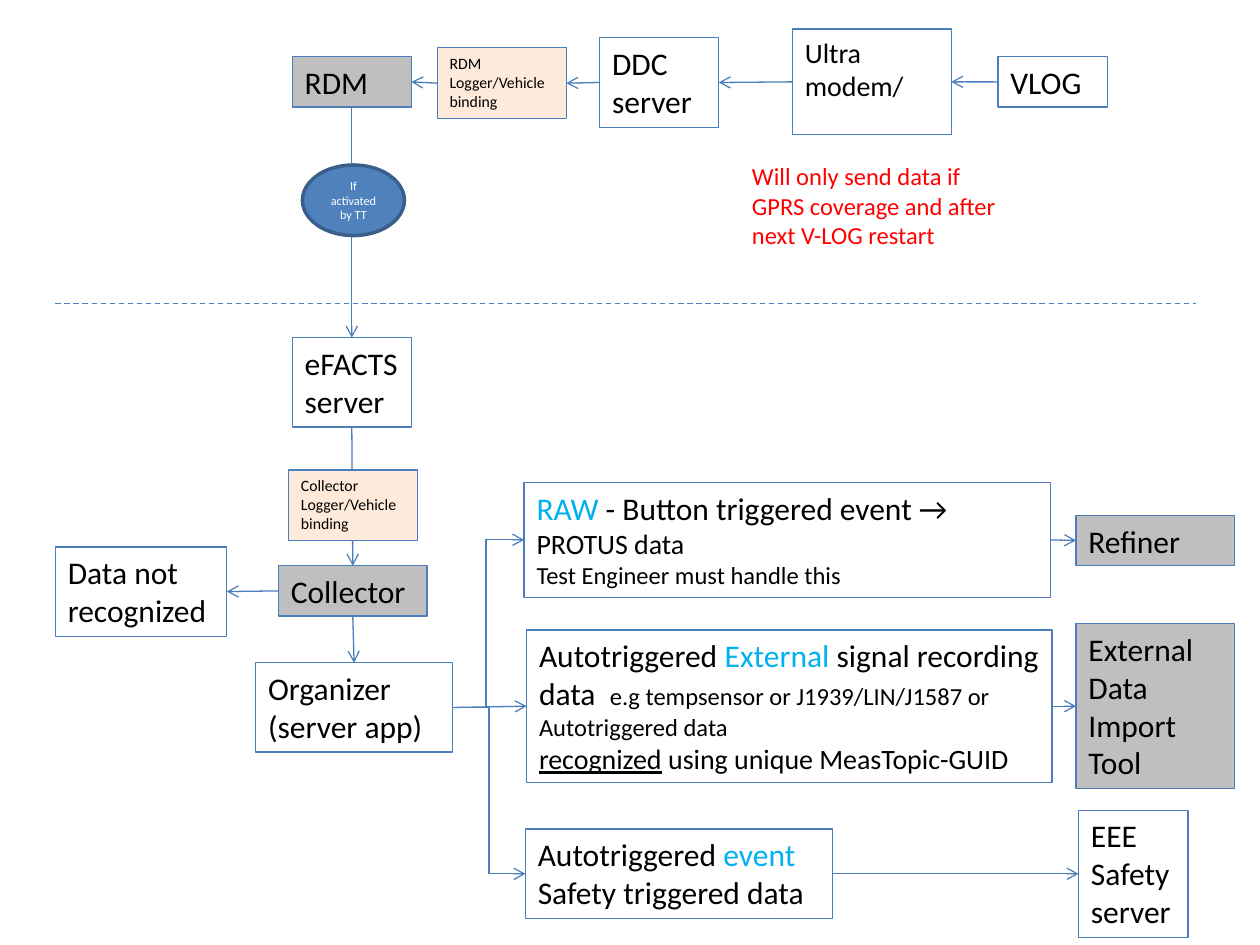
from lxml import etree
from pptx import Presentation, util as u
from pptx.dml.color import RGBColor
from pptx.enum import dml, shapes, text
from pptx.oxml import ns

COLUMNS, ROWS = 100, 75
FONT = "Calibri"
BLACK, WHITE, RED, CYAN = "000000", "FFFFFF", "FF0000", "00B0F0"
GREY, PEACH, BLUE = "BFBFBF", "FDEADA", "4F81BD"
EDGE, OVAL_EDGE = "4B7EBC", "3A5F8C"
TOP, LEFT, BOTTOM, RIGHT = range(4)

BOXES = {
    "ddc": ((47.6, 3, 9.45, 7.1), None, [["DDC server"]]),
    "logger": ((79.2, 4.5, 8.7, 4), None, [["VLOG"]]),
    "rdm": ((23.2, 4.5, 9.45, 4), GREY, [["RDM"]]),
    "efacts": ((23.2, 26.8, 9.45, 7.1), None, [["eFACTS server"]]),
    "collector": ((22.1, 44.9, 11.8, 4), GREY, [["Collector"]]),
    "external": ((41.8, 50, 41.7, 12.1), None, [
        ["Autotriggered ", ("External", {"color": CYAN}), " signal recording data  ",
         ("e.g tempsensor or J1939/LIN/J1587 or Autotriggered data", {"size": 14})],
        [("recognized", {"size": 16, "underline": True}),
         (" using unique MeasTopic-GUID", {"size": 16})]]),
    "rdm binding": ((34.7, 3.8, 10.25, 5.6), PEACH,
                    [[("RDM\nLogger/Vehicle binding", {"size": 9})]]),
    "event": ((41.7, 65.8, 24.4, 7.1), None, [
        ["Autotriggered", (" event", {"color": CYAN})], ["Safety triggered data"]]),
    "raw": ((41.6, 38.3, 41.75, 9.1), None, [
        [("RAW", {"color": CYAN}), " - Button triggered event → ",
         ("PROTUS data", {"size": 16})],
        [("Test Engineer must handle this", {"size": 14})]]),
    "organizer": ((20.3, 52.6, 15.6, 7.1), None, [["Organizer (server app)"]]),
    "import tool": ((85.4, 49.5, 12.6, 13.1), GREY, [["External Data Import"], ["Tool"]]),
    "unrecognized": ((4.4, 43.4, 13.6, 7.1), None, [["Data not recognized"]]),
    "refiner": ((85.4, 40.9, 12.6, 4), GREY, [["Refiner"]]),
    "safety": ((85.6, 64.3, 8.7, 10.1), None, [["EEE"], ["Safety server"]]),
    "modem": ((62.9, 2.3, 12.6, 8.4), None, [[("Ultra modem/", {"size": 16})]]),
}
COVERS = {
    "collector binding": ((22.9, 37.3, 10.25, 5.6), PEACH,
                          [[("Collector\nLogger/Vehicle binding", {"size": 9})]]),
}
LINKS = [
    ("logger", LEFT, "modem", RIGHT), ("modem", LEFT, "ddc", RIGHT),
    ("ddc", LEFT, "rdm binding", RIGHT), ("rdm binding", LEFT, "rdm", RIGHT),
    ("rdm", BOTTOM, "efacts", TOP), ("efacts", BOTTOM, "collector", TOP),
    ("collector", BOTTOM, "organizer", TOP), ("collector", LEFT, "unrecognized", RIGHT),
    ("organizer", RIGHT, "external", LEFT), ("raw", RIGHT, "refiner", LEFT),
    ("external", RIGHT, "import tool", LEFT), ("event", RIGHT, "safety", LEFT),
]
ELBOWS = [("organizer", RIGHT, "event", LEFT, 50000), ("organizer", RIGHT, "raw", LEFT, 46800)]
CONDITION = ((24, 13.1, 8.1, 5.6), BLUE, [[("If activated by TT", {"size": 7, "color": WHITE})]])
WARNING = ((58.7, 12.3, 22, 8.1),
           [[("Will only send data if GPRS coverage and after next V-LOG restart",
              {"size": 14, "color": RED})]])
DIVIDER = (4.4, 24.1, 94.9, 24.1)

presentation = Presentation()
presentation.slide_width, presentation.slide_height = u.Inches(10), u.Inches(7.5)
slide = presentation.slides.add_slide(presentation.slide_layouts[6])


def rgb(value):
    return RGBColor.from_string(value)


def grid(column, row, *rest):
    cells = (presentation.slide_width / COLUMNS, presentation.slide_height / ROWS)
    return [int(value * cells[i % 2]) for i, value in enumerate((column, row, *rest))]


def add_text(paragraph, content, size=18, color=BLACK, underline=None):
    for i, line in enumerate(content.split("\n")):
        if i:
            paragraph.add_line_break()
        run = paragraph.add_run()
        run.text = line
        run.font.name, run.font.size = FONT, u.Pt(size)
        run.font.color.rgb = rgb(color)
        run.font.underline = underline


def write(shape, paragraphs, align=text.PP_ALIGN.LEFT, anchor=text.MSO_ANCHOR.TOP,
          fit=text.MSO_AUTO_SIZE.SHAPE_TO_FIT_TEXT):
    frame = shape.text_frame
    frame.word_wrap, frame.vertical_anchor, frame.auto_size = True, anchor, fit
    for i, pieces in enumerate(paragraphs):
        paragraph = frame.add_paragraph() if i else frame.paragraphs[0]
        paragraph.alignment = align
        for piece in pieces:
            content, style = (piece, {}) if isinstance(piece, str) else piece
            add_text(paragraph, content, **style)


def add_box(place, fill, paragraphs, kind=shapes.MSO_SHAPE.RECTANGLE, edge=EDGE, width=0.75,
            **layout):
    shape = slide.shapes.add_shape(kind, *grid(*place))
    shape.shadow.inherit = False
    if fill:
        shape.fill.solid()
        shape.fill.fore_color.rgb = rgb(fill)
    else:
        shape.fill.background()
    shape.line.color.rgb, shape.line.width = rgb(edge), u.Pt(width)
    write(shape, paragraphs, **layout)
    return shape


def add_line(ends=(0, 0, 0, 0), kind=shapes.MSO_CONNECTOR.STRAIGHT):
    line = slide.shapes.add_connector(kind, *grid(*ends))
    line.line.color.rgb, line.line.width = rgb(EDGE), u.Pt(0.75)
    etree.SubElement(line._element.spPr, ns.qn("a:effectLst"))
    return line


def link(start, start_side, end, end_side, bend=None):
    kind = shapes.MSO_CONNECTOR.ELBOW if bend else shapes.MSO_CONNECTOR.STRAIGHT
    arrow = add_line(kind=kind)
    arrow.begin_connect(boxes[start], start_side)
    arrow.end_connect(boxes[end], end_side)
    properties = arrow._element.spPr
    etree.SubElement(properties.find(ns.qn("a:ln")), ns.qn("a:tailEnd"), type="arrow")
    if bend:
        guides = properties.find(".//" + ns.qn("a:avLst"))
        etree.SubElement(guides, ns.qn("a:gd"), name="adj1", fmla=f"val {bend}")


boxes = {name: add_box(*box) for name, box in BOXES.items()}
boxes["modem"].text_frame.auto_size = text.MSO_AUTO_SIZE.NONE
for ends in LINKS + ELBOWS:
    link(*ends)
for cover in COVERS.values():
    add_box(*cover)
add_box(*CONDITION, kind=shapes.MSO_SHAPE.OVAL, edge=OVAL_EDGE, width=2,
        align=text.PP_ALIGN.CENTER, anchor=text.MSO_ANCHOR.MIDDLE, fit=text.MSO_AUTO_SIZE.NONE)
place, warning = WARNING
write(slide.shapes.add_textbox(*grid(*place)), warning)
add_line(DIVIDER).line.dash_style = dml.MSO_LINE.DASH

presentation.save("out.pptx")
